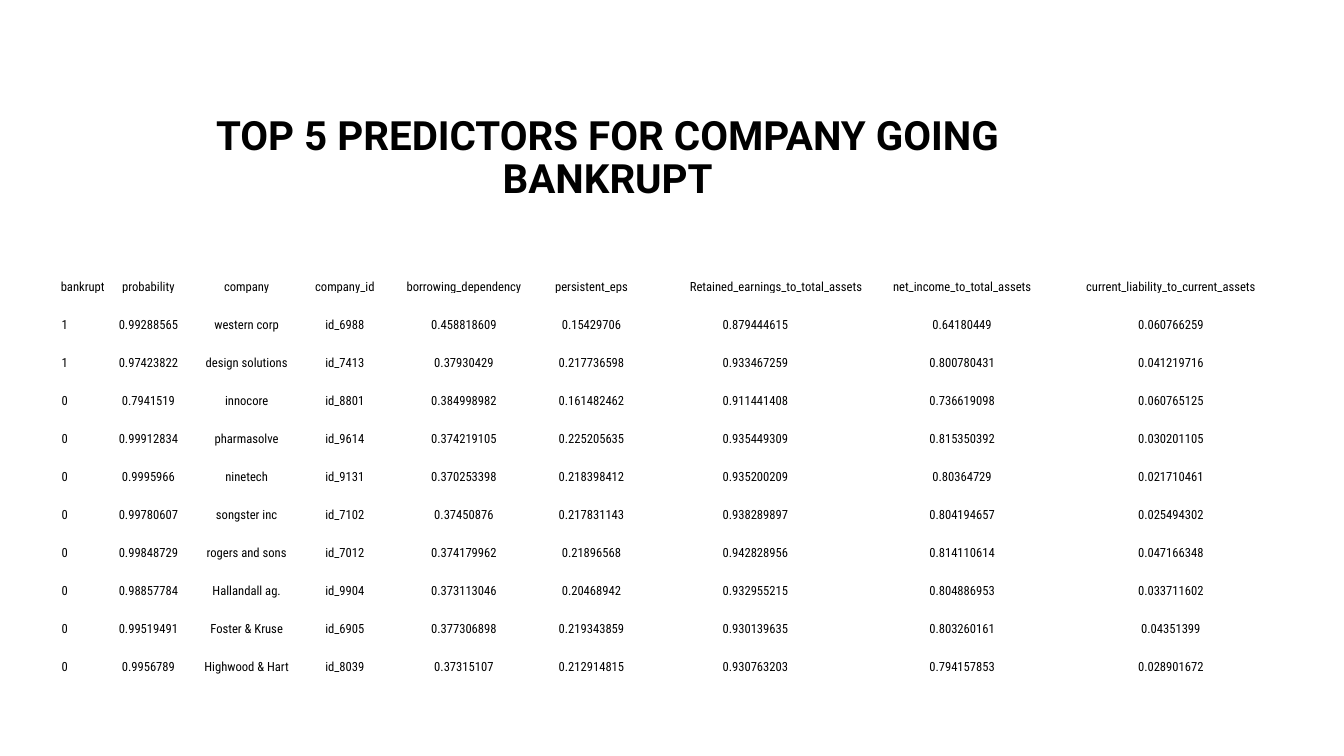
from dataclasses import dataclass

from pptx import Presentation
from pptx import util as u
from pptx.dml.color import RGBColor
from pptx.enum import text


@dataclass(frozen=True)
class Theme:
    ink: RGBColor = RGBColor(0, 0, 0)
    title_font: str = "Roboto"
    table_font: str = "Roboto Condensed"
    title_size: float = 28.8
    table_size: float = 9


@dataclass(frozen=True)
class Column:
    header: str
    width: float  # cm
    indent: float = 0.03  # cm, left inset of the header cell


THEME = Theme()
ROW_HEIGHT = 0.96
INSET = 0.03

COLUMNS = [
    Column("bankrupt", 2.11, 0.94),
    Column("probability", 2.11),
    Column("company", 2.84),
    Column("company_id", 2.11),
    Column("borrowing_dependency", 3.89),
    Column("persistent_eps", 2.54),
    Column("Retained_earnings_to_total_assets", 5.72, 1.07),
    Column("net_income_to_total_assets", 4.7),
    Column("current_liability_to_current_assets", 5.82),
]

COMPANIES = [
    ("1", "0.99288565", "western corp", "id_6988", "0.458818609",
     "0.15429706", "0.879444615", "0.64180449", "0.060766259"),
    ("1", "0.97423822", "design solutions", "id_7413", "0.37930429",
     "0.217736598", "0.933467259", "0.800780431", "0.041219716"),
    ("0", "0.7941519", "innocore", "id_8801", "0.384998982",
     "0.161482462", "0.911441408", "0.736619098", "0.060765125"),
    ("0", "0.99912834", "pharmasolve", "id_9614", "0.374219105",
     "0.225205635", "0.935449309", "0.815350392", "0.030201105"),
    ("0", "0.9995966", "ninetech", "id_9131", "0.370253398",
     "0.218398412", "0.935200209", "0.80364729", "0.021710461"),
    ("0", "0.99780607", "songster inc", "id_7102", "0.37450876",
     "0.217831143", "0.938289897", "0.804194657", "0.025494302"),
    ("0", "0.99848729", "rogers and sons", "id_7012", "0.374179962",
     "0.21896568", "0.942828956", "0.814110614", "0.047166348"),
    ("0", "0.98857784", "Hallandall ag.", "id_9904", "0.373113046",
     "0.20468942", "0.932955215", "0.804886953", "0.033711602"),
    ("0", "0.99519491", "Foster & Kruse", "id_6905", "0.377306898",
     "0.219343859", "0.930139635", "0.803260161", "0.04351399"),
    ("0", "0.9956789", "Highwood & Hart", "id_8039", "0.37315107",
     "0.212914815", "0.930763203", "0.794157853", "0.028901672"),
]


def add_run(p, words: str, font: str, size: float, bold: bool = False) -> None:
    p.alignment = text.PP_ALIGN.CENTER
    r = p.add_run()
    r.text = words
    r.font.name = font
    r.font.size = u.Pt(size)
    r.font.bold = bold
    r.font.color.rgb = THEME.ink


def add_title(s, words: str) -> None:
    sp = s.shapes.add_textbox(u.Cm(2.97), u.Cm(2.59), u.Cm(24.69), u.Cm(2.64))
    tf = sp.text_frame
    tf.word_wrap = True
    tf.vertical_anchor = text.MSO_ANCHOR.BOTTOM
    p = tf.paragraphs[0]
    p.line_spacing = 0.9
    add_run(p, words, THEME.title_font, THEME.title_size, bold=True)


def fill_cell(cell, words: str, indent: float) -> None:
    cell.fill.background()
    cell.vertical_anchor = text.MSO_ANCHOR.BOTTOM
    cell.margin_left = u.Cm(indent)
    cell.margin_top = u.Cm(INSET)
    cell.margin_right = cell.margin_bottom = u.Cm(0)
    add_run(cell.text_frame.paragraphs[0], words, THEME.table_font, THEME.table_size)


def add_predictors(s, columns: list[Column], rows: list[tuple[str, ...]]) -> None:
    n_rows = len(rows) + 1
    width = sum(c.width for c in columns)
    table = s.shapes.add_table(n_rows, len(columns), u.Cm(0.56), u.Cm(6.45),
                               u.Cm(width), u.Cm(n_rows * ROW_HEIGHT)).table
    table.first_row = table.horz_banding = False
    for row in table.rows:
        row.height = u.Cm(ROW_HEIGHT)
    for j, column in enumerate(columns):
        table.columns[j].width = u.Cm(column.width)
        fill_cell(table.cell(0, j), column.header, column.indent)
        for i, values in enumerate(rows, start=1):
            fill_cell(table.cell(i, j), values[j], INSET)


def main() -> None:
    prs = Presentation()
    prs.slide_width, prs.slide_height = u.Cm(33.87), u.Cm(19.05)
    s = prs.slides.add_slide(prs.slide_layouts[6])

    # Heading
    add_title(s, "TOP 5 PREDICTORS FOR COMPANY GOING BANKRUPT")

    # Predictor values by company
    add_predictors(s, COLUMNS, COMPANIES)

    prs.save("out.pptx")


if __name__ == "__main__":
    main()
